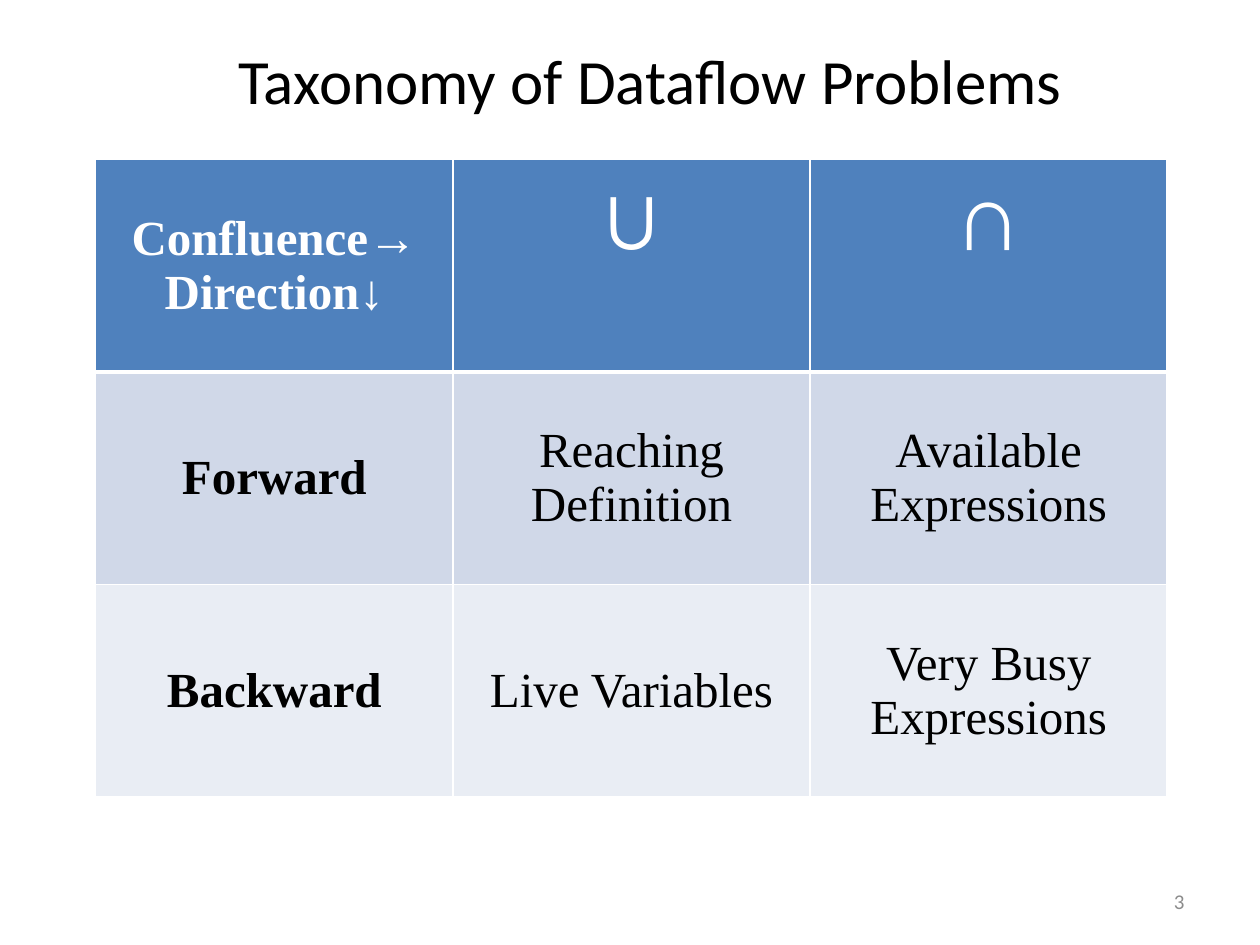
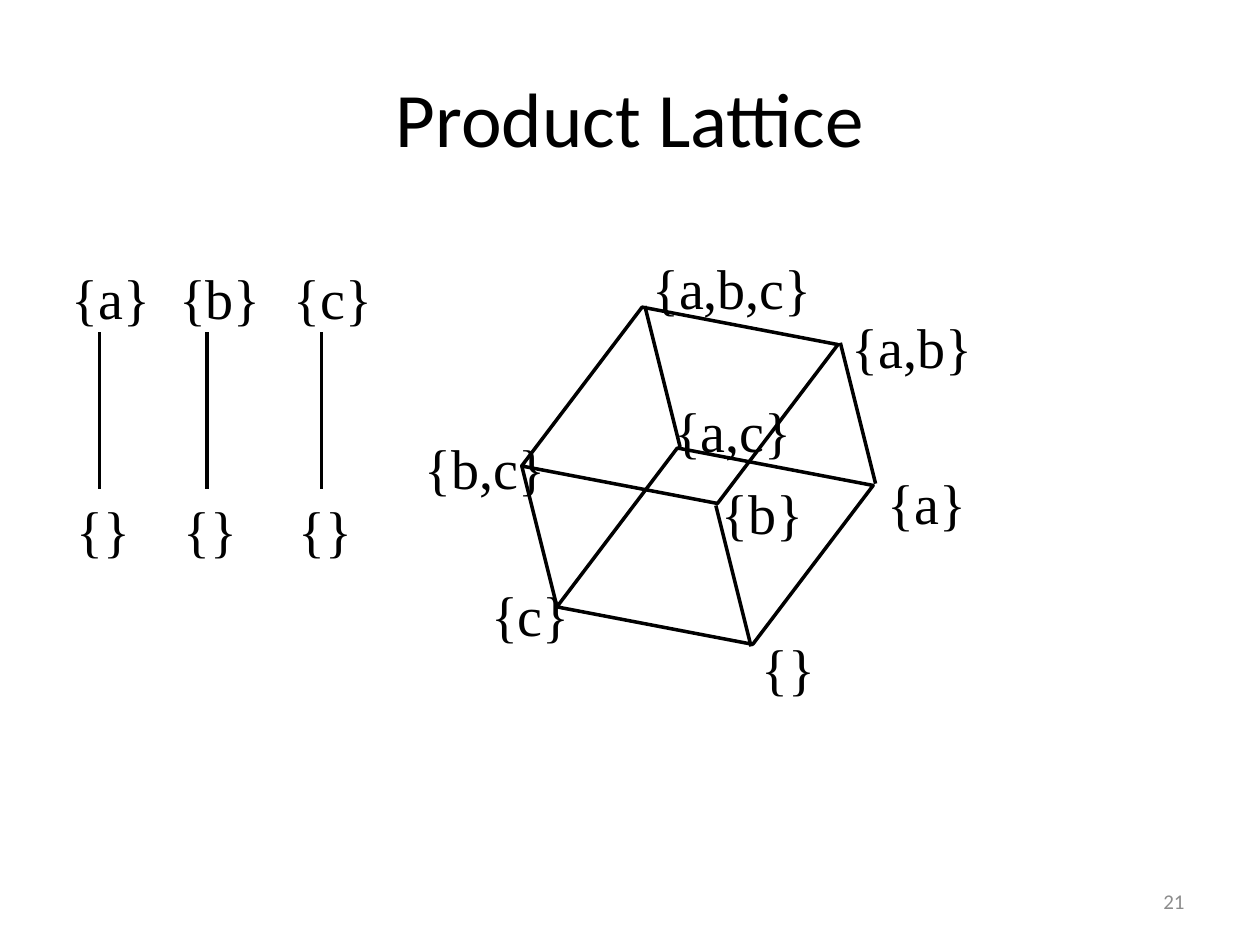
from lxml.etree import SubElement
from pptx import Presentation
from pptx.dml.color import RGBColor
from pptx.enum.shapes import MSO_CONNECTOR as Connector, MSO_SHAPE as Preset
from pptx.enum.text import MSO_ANCHOR as Anchor, MSO_AUTO_SIZE as AutoSize, PP_ALIGN as Align
from pptx.oxml.ns import qn
from pptx.util import Cm, Pt

BLACK = RGBColor(0x00, 0x00, 0x00)
WHITE = RGBColor(0xFF, 0xFF, 0xFF)
GREY = RGBColor(0x8C, 0x8C, 0x8C)
HEADER_BLUE = RGBColor(0x4F, 0x81, 0xBD)
BAND_DARK = RGBColor(0xD0, 0xD8, 0xE8)
BAND_LIGHT = RGBColor(0xE9, 0xED, 0xF4)

SANS = "Calibri"
SERIF = "Times New Roman"
LABEL = {"name": SERIF, "size": Pt(32)}
NUMBER = {"name": SANS, "size": Pt(12)}

TAXONOMY = [
    ["Confluence→\nDirection↓", "∪", "∩"],
    ["Forward", "Reaching Definition", "Available Expressions"],
    ["Backward", "Live Variables", "Very Busy Expressions"],
]
BANDS = [HEADER_BLUE, BAND_DARK, BAND_LIGHT]

FACE_LEFT, FACE_TOP = 10.29, 6.05
DEPTH_X, DEPTH_Y = 0.71, 2.84
FACE_CORNERS = [(10.52, 9.4), (13, 6.17), (14.43, 10.19), (16.94, 6.91)]
LATTICE_LABELS = [
    ("{}", 15.11, 12.65, 3.23),
    ("{a,b,c}", 12.9, 4.98, 4.39),
    ("{b}", 14.3, 9.53, 3.23),
    ("{a,c}", 13.34, 7.87, 3.23),
    ("{b,c}", 8.31, 8.61, 3.23),
    ("{c}", 9.65, 11.58, 3.23),
    ("{a,b}", 16.92, 6.17, 3.23),
    ("{a}", 17.65, 9.32, 3.23),
]
CHAINS = [("{b}", 4.17), ("{a}", 2.01), ("{c}", 6.48)]


def apply_format(target, values):
    for name, value in values.items():
        setattr(target, name, value)


def write_text(frame, text, font, color=BLACK, align=Align.LEFT):
    for index, line in enumerate(text.split("\n")):
        para = frame.paragraphs[0] if index == 0 else frame.add_paragraph()
        para.alignment = align
        span = para.add_run()
        span.text = line
        apply_format(span.font, font)
        span.font.color.rgb = color


def add_text(shapes, text, left, top, width, height, font, color=BLACK, align=Align.LEFT, **frame_format):
    box = shapes.add_textbox(Cm(left), Cm(top), Cm(width), Cm(height))
    apply_format(box.text_frame, {"word_wrap": True, **frame_format})
    write_text(box.text_frame, text, font, color, align)


def add_label(shapes, text, left, top, width, wrap=True):
    add_text(shapes, text, left, top, width, 1.63, LABEL,
             word_wrap=wrap, auto_size=AutoSize.SHAPE_TO_FIT_TEXT)


def add_edge(shapes, x1, y1, x2, y2):
    edge = shapes.add_connector(Connector.STRAIGHT, Cm(x1), Cm(y1), Cm(x2), Cm(y2))
    edge.line.color.rgb = BLACK
    edge.line.width = Pt(2)
    SubElement(edge._element.spPr, qn("a:effectLst"))


def add_face(shapes, left, top):
    face = shapes.add_shape(Preset.DIAMOND, Cm(left), Cm(top), Cm(6.83), Cm(4.24))
    face.rotation = 339
    face.shadow.inherit = False
    face.fill.background()
    face.line.color.rgb = BLACK
    face.line.width = Pt(2)


def add_chain(shapes, name, x):
    chain = shapes.add_group_shape().shapes
    add_edge(chain, x, 6.7, x, 9.86)
    add_label(chain, name, x - 0.81, 5.18, 2.25, wrap=False)
    add_label(chain, "{}", x - 0.71, 9.87, 1.65, wrap=False)


def set_borders(cell, widths):
    properties = cell._tc.get_or_add_tcPr()
    for side, width in widths.items():
        line = SubElement(properties, qn(f"a:ln{side}"), w=str(Pt(width)))
        fill = SubElement(line, qn("a:solidFill"))
        SubElement(fill, qn("a:srgbClr"), val=str(WHITE))


def add_taxonomy(page):
    size = len(TAXONOMY)
    table = page.shapes.add_table(size, size, Cm(1.93), Cm(3.22), Cm(21.6), Cm(12.84)).table
    for index in range(size):
        table.columns[index].width = Cm(7.2)
        table.rows[index].height = Cm(4.28)
    for row, texts in enumerate(TAXONOMY):
        for column, text in enumerate(texts):
            cell = table.cell(row, column)
            header = row == 0
            symbol = header and column > 0
            set_borders(cell, {"L": 1, "R": 1, "T": 3 if row == 1 else 1, "B": 3 if header else 1})
            cell.fill.solid()
            cell.fill.fore_color.rgb = BANDS[row]
            cell.vertical_anchor = Anchor.TOP if symbol else Anchor.MIDDLE
            font = {"name": SERIF, "size": Pt(54 if symbol else 28), "bold": header or column == 0}
            write_text(cell.text_frame, text, font, WHITE if header else BLACK, Align.CENTER)


def add_page(deck, title, number, size, left, top, width):
    page = deck.slides.add_slide(deck.slide_layouts[5])
    heading = page.shapes.title
    apply_format(heading, {"left": Cm(left), "top": Cm(top), "width": Cm(width), "height": Cm(3.18)})
    heading.text_frame.vertical_anchor = Anchor.MIDDLE
    write_text(heading.text_frame, title, {"name": SANS, "size": Pt(size)}, align=Align.CENTER)
    add_text(page.shapes, number, 18.21, 17.65, 5.92, 1.02, NUMBER, GREY, Align.RIGHT,
             vertical_anchor=Anchor.MIDDLE)
    return page


def add_lattice(page):
    shapes = page.shapes
    for depth in range(2):
        add_face(shapes, FACE_LEFT + depth * DEPTH_X, FACE_TOP + depth * DEPTH_Y)
    for x, y in FACE_CORNERS:
        add_edge(shapes, x, y, x + DEPTH_X, y + DEPTH_Y)
    for label in LATTICE_LABELS:
        add_label(shapes, *label)
    for name, x in CHAINS:
        add_chain(shapes, name, x)


def main():
    deck = Presentation()
    deck.slide_width, deck.slide_height = Cm(25.4), Cm(19.05)
    add_taxonomy(add_page(deck, "Taxonomy of Dataflow Problems", "3", 36, 2.31, 0, 21.59))
    add_lattice(add_page(deck, "Product Lattice", "21", 44, 1.27, 0.76, 22.86))
    deck.save("out.pptx")


if __name__ == "__main__":
    main()
